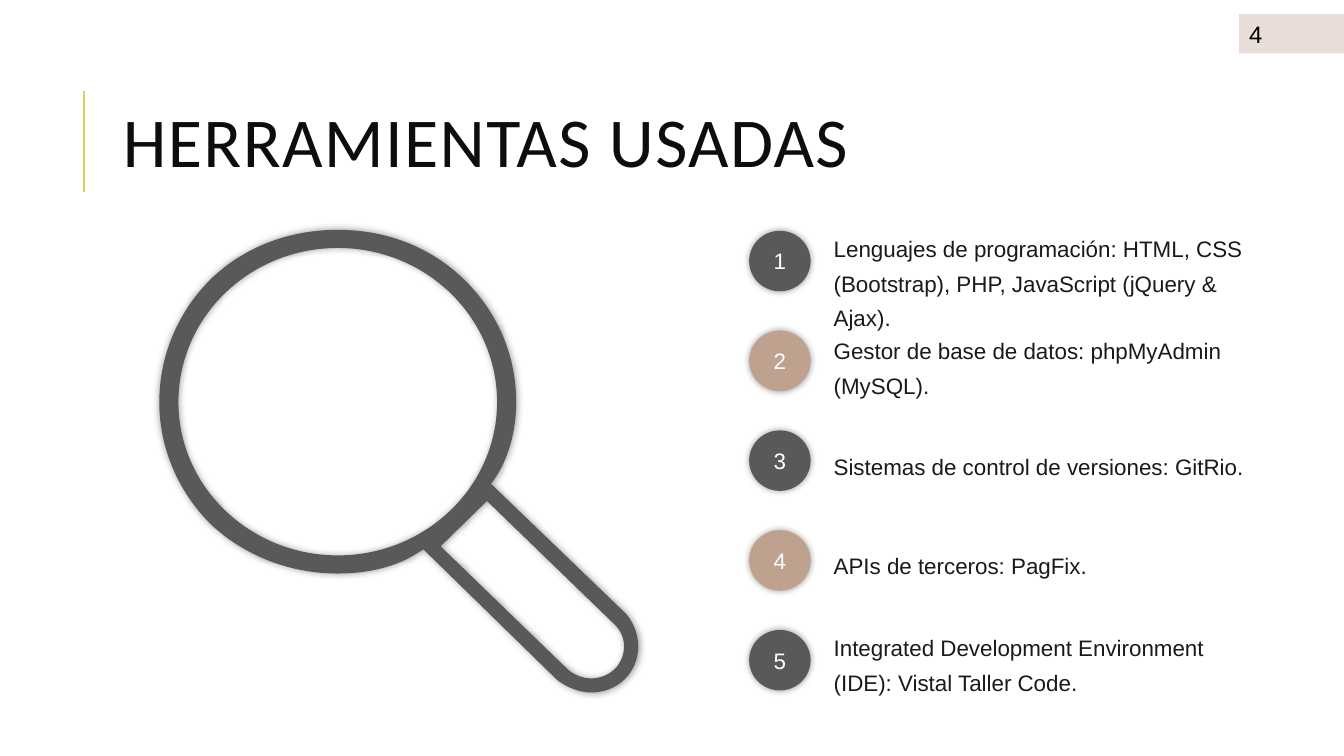
"""Build the slide that lists the tools used beside a magnifying glass."""
from dataclasses import dataclass

import lxml.etree
import pptx
import pptx.dml.color
import pptx.enum.shapes
import pptx.enum.text
import pptx.oxml.ns
import pptx.util

Inches = pptx.util.Inches
Pt = pptx.util.Pt
Anchor = pptx.enum.text.MSO_ANCHOR
Align = pptx.enum.text.PP_ALIGN
Preset = pptx.enum.shapes.MSO_SHAPE
qn = pptx.oxml.ns.qn

GRAY, TAN = "595959", "BFA18F"
FIRST_BADGE_TOP, BADGE_PITCH = 2.29, 0.99


@dataclass
class Tool:
    text: str
    top: float
    height: float


@dataclass
class Style:
    size: float
    color: str
    font: str = "Arial"
    line_spacing: float = 1.0
    align: Align = Align.LEFT
    anchor: Anchor = Anchor.MIDDLE


TOOLS = [
    Tool("Lenguajes de programación: HTML, CSS (Bootstrap), PHP, JavaScript (jQuery & Ajax).", 2.2, 0.77),
    Tool("Gestor de base de datos: phpMyAdmin (MySQL).", 3.22, 0.77),
    Tool("Sistemas de control de versiones: GitRio.", 4.37, 0.42),
    Tool("APIs de terceros: PagFix.", 5.35, 0.42),
    Tool("Integrated Development Environment (IDE): Vistal Taller Code.", 6.16, 0.77),
]

TITLE_STYLE = Style(50, "0D0D0D", "Calibri", 0.8)
TOOL_STYLE = Style(16, "1A1A1A", line_spacing=1.3, anchor=Anchor.TOP)
BADGE_STYLE = Style(16, "FFFFFF", align=Align.CENTER)
PAGE_NUMBER_STYLE = Style(17, "000000")

Point = tuple[float, float]
Segment = tuple[Point, ...]

OUTLINE: list[Segment] = [
    ((5.86, 6.87),),
    ((5.73, 6.87), (5.59, 6.8), (5.52, 6.74)),
    ((4.2, 5.45),),
    ((4.15, 5.48),),
    ((3.94, 5.62), (3.66, 5.69), (3.35, 5.69)),
    ((2.87, 5.69), (2.42, 5.51), (2.09, 5.2)),
    ((1.77, 4.88), (1.58, 4.45), (1.58, 3.99)),
    ((1.58, 3.52), (1.77, 3.09), (2.09, 2.77)),
    ((2.42, 2.45), (2.87, 2.28), (3.35, 2.28)),
    ((3.83, 2.28), (4.27, 2.45), (4.6, 2.77)),
    ((4.93, 3.09), (5.12, 3.52), (5.12, 3.99)),
    ((5.12, 4.28), (5.04, 4.56), (4.9, 4.76)),
    ((4.87, 4.8),),
    ((6.2, 6.08),),
    ((6.27, 6.15), (6.33, 6.28), (6.33, 6.41)),
    ((6.33, 6.67), (6.13, 6.87), (5.86, 6.87)),
]
HANDLE_HOLE: list[Segment] = [
    ((4.37, 5.42),),
    ((5.63, 6.64),),
    ((5.67, 6.68), (5.77, 6.73), (5.86, 6.73)),
    ((6.05, 6.73), (6.19, 6.59), (6.19, 6.41)),
    ((6.19, 6.32), (6.14, 6.23), (6.09, 6.19)),
    ((4.83, 4.97),),
]
LENS_HOLE: list[Segment] = [
    ((3.35, 2.46),),
    ((2.48, 2.46), (1.77, 3.14), (1.77, 3.99)),
    ((1.77, 4.83), (2.48, 5.51), (3.35, 5.51)),
    ((4.22, 5.51), (4.93, 4.83), (4.93, 3.99)),
    ((4.93, 3.14), (4.22, 2.46), (3.35, 2.46)),
]


def rgb(color: str) -> pptx.dml.color.RGBColor:
    """Turn a hex string into a colour."""
    return pptx.dml.color.RGBColor.from_string(color)


def paint(shape, color: str, shadow: bool) -> None:
    """Fill a shape without a line, with or without a soft shadow."""
    shape.fill.solid()
    shape.fill.fore_color.rgb = rgb(color)
    shape.line.fill.background()
    shape.shadow.inherit = False
    if shadow:
        effects = shape._element.spPr.find(qn("a:effectLst"))
        outer = lxml.etree.SubElement(effects, qn("a:outerShdw"), blurRad=str(Pt(5)), dist="0", dir="0")
        tint = lxml.etree.SubElement(outer, qn("a:srgbClr"), val="000000")
        lxml.etree.SubElement(tint, qn("a:alpha"), val="40000")


def write(shape, text: str, style: Style):
    """Write one run in a shape and return it."""
    frame = shape.text_frame
    frame.word_wrap = True
    frame.vertical_anchor = style.anchor
    para = frame.paragraphs[0]
    para.alignment = style.align
    para.line_spacing = style.line_spacing
    span = para.add_run()
    span.text = text
    span.font.name = style.font
    span.font.size = Pt(style.size)
    span.font.color.rgb = rgb(style.color)
    return span


def curve_lines(shape, segments: list[Segment]) -> None:
    """Bend the straight segments of a freeform that have control points."""
    lines = list(shape._element.iter(qn("a:lnTo")))
    for line, segment in zip(lines, segments):
        if len(segment) == 1:
            continue
        curve = lxml.etree.Element(qn("a:cubicBezTo"))
        for x, y in segment:
            local = {"x": str(Inches(x) - shape.left), "y": str(Inches(y) - shape.top)}
            lxml.etree.SubElement(curve, qn("a:pt"), **local)
        line.getparent().replace(line, curve)


def draw_magnifier(page) -> None:
    """Draw the magnifying glass as one outline with two holes."""
    contours = (OUTLINE, HANDLE_HOLE, LENS_HOLE)
    builder = page.shapes.build_freeform()
    for contour in contours:
        start, *ends = [(Inches(x), Inches(y)) for x, y in (segment[-1] for segment in contour)]
        if contour is OUTLINE:
            builder = page.shapes.build_freeform(*start)
        else:
            builder.move_to(*start)
        builder.add_line_segments(ends, close=True)
    glass = builder.convert_to_shape()
    curve_lines(glass, [segment for contour in contours for segment in contour[1:]])
    paint(glass, GRAY, shadow=True)


def draw_header(page) -> None:
    """Draw the accent line and the title."""
    accent = page.shapes.add_connector(
        pptx.enum.shapes.MSO_CONNECTOR.STRAIGHT, Inches(0.83), Inches(1.9), Inches(0.83), Inches(0.9))
    accent.line.color.rgb = rgb("E3CC5A")
    accent.line.width = Pt(1.5)
    lxml.etree.SubElement(accent._element.spPr, qn("a:effectLst"))
    title = page.shapes.add_textbox(Inches(1.12), Inches(0.64), Inches(10.63), Inches(1.64))
    span = write(title, "HERRAMIENTAS USADAS", TITLE_STYLE)
    span.font._element.set("spc", "100")


def draw_tool(page, index: int, tool: Tool) -> None:
    """Draw a numbered badge and the text of one tool."""
    top = FIRST_BADGE_TOP + index * BADGE_PITCH
    badge = page.shapes.add_shape(Preset.OVAL, Inches(7.43), Inches(top), Inches(0.61), Inches(0.6))
    paint(badge, TAN if index % 2 else GRAY, shadow=True)
    write(badge, str(index + 1), BADGE_STYLE)
    box = page.shapes.add_textbox(Inches(8.17), Inches(tool.top), Inches(4.42), Inches(tool.height))
    write(box, tool.text, TOOL_STYLE)
    box.text_frame.auto_size = pptx.enum.text.MSO_AUTO_SIZE.SHAPE_TO_FIT_TEXT


def draw_page_number(page) -> None:
    """Draw the page number in its corner tab."""
    tab = page.shapes.add_shape(Preset.RECTANGLE, Inches(12.29), Inches(0.14), Inches(1.04), Inches(0.39))
    paint(tab, "E9DED7", shadow=False)
    write(tab, "4", PAGE_NUMBER_STYLE)


def main() -> None:
    """Build the deck and save it."""
    deck = pptx.Presentation()
    deck.slide_width, deck.slide_height = Inches(13.33), Inches(7.5)
    page = deck.slides.add_slide(deck.slide_layouts[6])
    draw_header(page)
    draw_magnifier(page)
    for index, tool in enumerate(TOOLS):
        draw_tool(page, index, tool)
    draw_page_number(page)
    deck.save("out.pptx")


if __name__ == "__main__":
    main()
